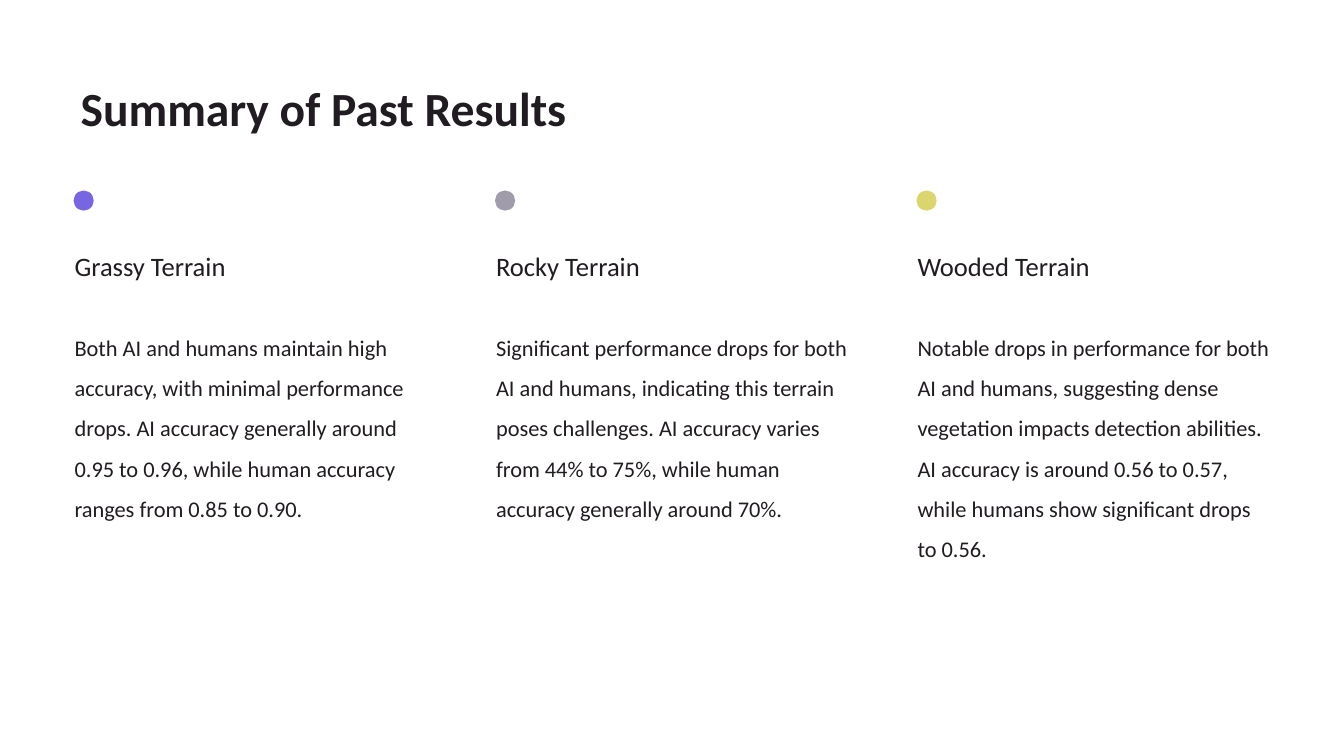
from pptx import Presentation
from pptx.dml.color import RGBColor
from pptx.enum.shapes import MSO_SHAPE as Shape
from pptx.enum.text import MSO_ANCHOR as Anchor, MSO_AUTO_SIZE as AutoSize, PP_ALIGN as Align
from pptx.util import Pt

PX = 9144
FONT = "Calibri"
COLORS = {
    "background": "FFFFFF",
    "ink": "211C21",
    "grassy": "7765E3",
    "rocky": "A09CAB",
    "wooded": "DBD56E",
}
INSET = 13
COLUMN_LEFT, COLUMN_PITCH, COLUMN_WIDTH = 61, 418, 375
DOT_OFFSET, DOT_TOP, DOT_SIZE = 12, 189, 20
HEADING_TOP, HEADING_HEIGHT = 222, 83
FINDING_TOP, FINDING_HEIGHT = 305, 365

TERRAINS = [
    ("grassy", "Grassy Terrain",
     "Both AI and humans maintain high accuracy, with minimal performance drops. "
     "AI accuracy generally around 0.95 to 0.96, while human accuracy ranges "
     "from 0.85 to 0.90."),
    ("rocky", "Rocky Terrain",
     "Significant performance drops for both AI and humans, indicating this terrain "
     "poses challenges. AI accuracy varies from 44% to 75%, while human accuracy "
     "generally around 70%."),
    ("wooded", "Wooded Terrain",
     "Notable drops in performance for both AI and humans, suggesting dense "
     "vegetation impacts detection abilities. AI accuracy is around 0.56 to 0.57, "
     "while humans show significant drops to 0.56."),
]


def px(*lengths):
    return [length * PX for length in lengths]


def color(name):
    return RGBColor.from_string(COLORS[name])


def write(frame, words, size, anchor, bold=False):
    frame.word_wrap = True
    frame.auto_size = AutoSize.NONE
    frame.vertical_anchor = anchor
    frame.margin_left = frame.margin_right = INSET * PX
    frame.margin_top = frame.margin_bottom = INSET * PX
    paragraph = frame.paragraphs[0]
    paragraph.alignment = Align.LEFT
    run = paragraph.add_run()
    run.text = words
    run.font.name = FONT
    run.font.size = Pt(size)
    run.font.bold = bold
    run.font.color.rgb = color("ink")
    return paragraph


def add_title(slide, words):
    title = slide.shapes.title
    title.left, title.top, title.width, title.height = px(67, 65, 1200, 83)
    write(title.text_frame, words, 34, Anchor.MIDDLE, bold=True)


def add_dot(slide, left, fill):
    dot = slide.shapes.add_shape(Shape.OVAL, *px(left, DOT_TOP, DOT_SIZE, DOT_SIZE))
    dot.shadow.inherit = False
    dot.fill.solid()
    dot.fill.fore_color.rgb = color(fill)
    dot.line.fill.background()


def add_heading(slide, left, words):
    heading = slide.shapes.add_textbox(*px(left, HEADING_TOP, COLUMN_WIDTH, HEADING_HEIGHT))
    write(heading.text_frame, words, 19, Anchor.MIDDLE)


def add_finding(slide, left, words):
    finding = slide.shapes.add_textbox(*px(left, FINDING_TOP, COLUMN_WIDTH, FINDING_HEIGHT))
    paragraph = write(finding.text_frame, words, 16, Anchor.TOP)
    paragraph.line_spacing = 1.5
    paragraph.space_after = Pt(13)


def main():
    deck = Presentation()
    deck.slide_width, deck.slide_height = px(1333, 750)
    slide = deck.slides.add_slide(deck.slide_layouts[5])
    slide.background.fill.solid()
    slide.background.fill.fore_color.rgb = color("background")
    add_title(slide, "Summary of Past Results")
    for column, (terrain, heading, finding) in enumerate(TERRAINS):
        left = COLUMN_LEFT + column * COLUMN_PITCH
        add_dot(slide, left + DOT_OFFSET, terrain)
        add_heading(slide, left, heading)
        add_finding(slide, left, finding)
    deck.save("out.pptx")


if __name__ == "__main__":
    main()
